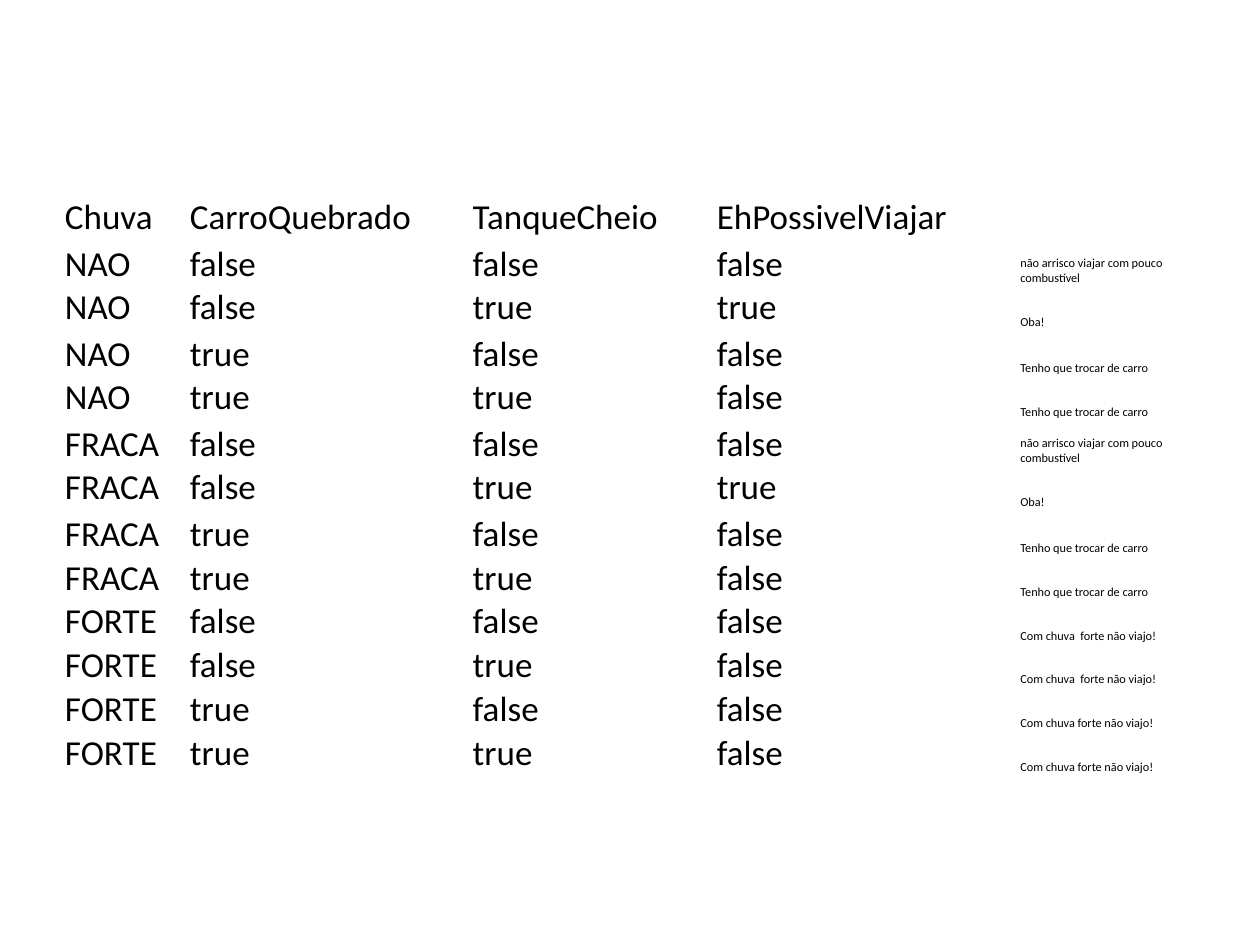
from pptx import Presentation
from pptx import util as u
from pptx.dml.color import RGBColor
from pptx.enum import text

# Content: rain, broken car, full tank, can travel, remark
HEAD = ("Chuva", "CarroQuebrado", "TanqueCheio", "EhPossivelViajar", "")
LOW = "não arrisco viajar com pouco combustível"
SWAP = "Tenho que trocar de carro"
CASES = [
    ("false", "false", "false", LOW),
    ("false", "true", "true", "Oba!"),
    ("true", "false", "false", SWAP),
    ("true", "true", "false", SWAP),
]
STORM = [
    ("false", "false", "false", "Com chuva  forte não viajo!"),
    ("false", "true", "false", "Com chuva  forte não viajo!"),
    ("true", "false", "false", "Com chuva forte não viajo!"),
    ("true", "true", "false", "Com chuva forte não viajo!"),
]
RAIN = [("NAO", CASES), ("FRACA", CASES), ("FORTE", STORM)]
ROWS = [HEAD] + [(rain, *case) for rain, cases in RAIN for case in cases]

# Measures in centimetres
LEFT, TOP = 1.29, 3.94
WIDTHS = (2.52, 5.7, 4.92, 6.12, 3.54)
LOW_ROW, TALL_ROW = 0.88, 0.93
TALL = {1, 3, 5, 7}
HEIGHTS = [TALL_ROW if r in TALL else LOW_ROW for r in range(len(ROWS))]
INSET = u.Cm(0.02)
BLACK = RGBColor(0, 0, 0)


def fill_cell(cell, words, size):
    cell.fill.background()
    cell.vertical_anchor = text.MSO_ANCHOR.BOTTOM
    cell.margin_left = cell.margin_right = cell.margin_top = INSET
    cell.margin_bottom = 0
    cell.text = words
    font = cell.text_frame.paragraphs[0].font
    font.name, font.size = "Calibri", u.Pt(size)
    font.color.rgb = BLACK


def main():
    deck = Presentation()
    deck.slide_width, deck.slide_height = u.Cm(25.4), u.Cm(19.05)
    slide = deck.slides.add_slide(deck.slide_layouts[6])

    # Decision table
    frame = slide.shapes.add_table(
        len(ROWS), len(WIDTHS), u.Cm(LEFT), u.Cm(TOP),
        u.Cm(sum(WIDTHS)), u.Cm(sum(HEIGHTS)))
    table = frame.table
    table.first_row = table.horz_banding = False
    for col, width in zip(table.columns, WIDTHS):
        col.width = u.Cm(width)
    for row, height, words in zip(table.rows, HEIGHTS, ROWS):
        row.height = u.Cm(height)
        for c, (cell, word) in enumerate(zip(row.cells, words)):
            fill_cell(cell, word, 7 if c == len(WIDTHS) - 1 else 20)

    deck.save("out.pptx")


if __name__ == "__main__":
    main()
